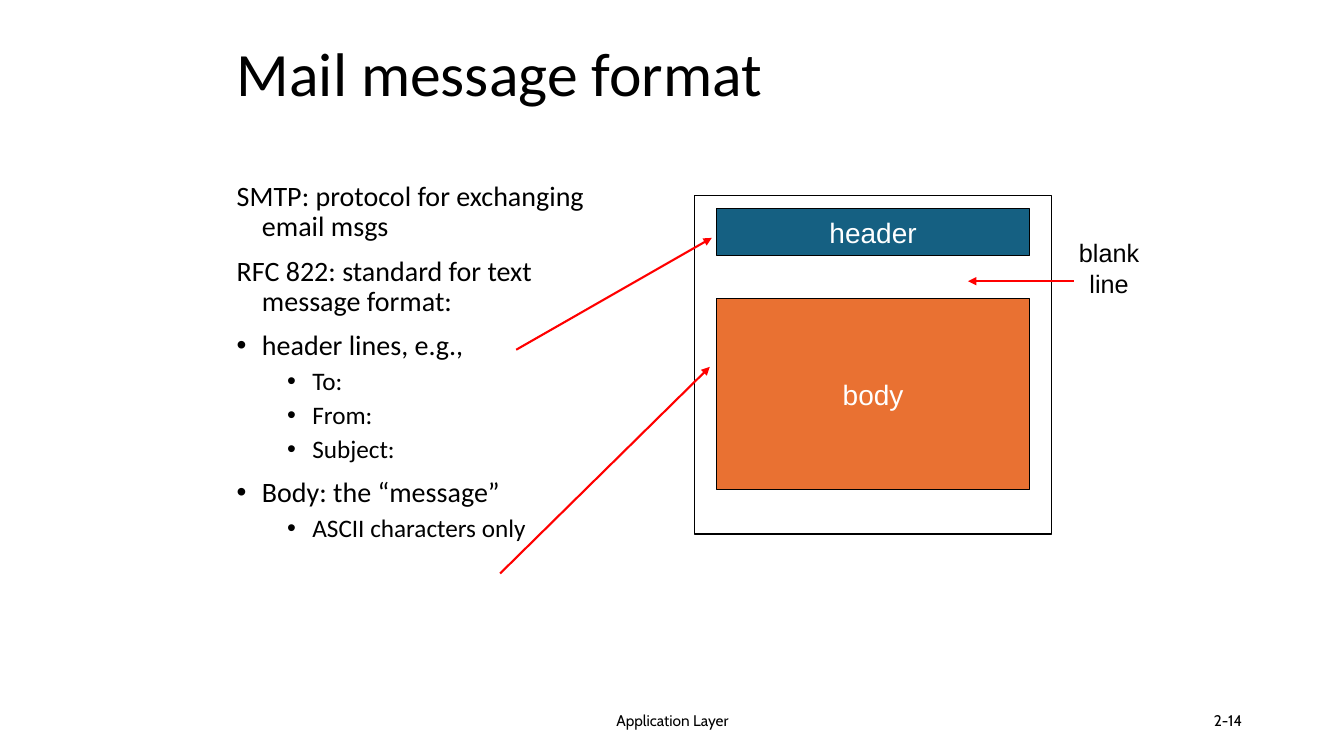
from lxml import etree
from pptx import Presentation
from pptx.dml.color import RGBColor
from pptx.enum.shapes import MSO_CONNECTOR as Connector, MSO_SHAPE as Preset
from pptx.enum.text import MSO_ANCHOR as Anchor, PP_ALIGN as Align
from pptx.oxml.ns import qn
from pptx.util import Pt

PX = 9144
COLORS = {"ink": "000000", "paper": "FFFFFF", "header": "156082",
          "body": "E97132", "arrow": "FF0000"}

LABELS = [
    (["Application Layer"], (442, 695, 450, 40), "Cabin", 11, Align.CENTER, Anchor.MIDDLE, True, 1.0),
    (["2-14"], (942, 695, 300, 40), "Cabin", 11, Align.RIGHT, Anchor.MIDDLE, True, 1.0),
    (["Mail message format"], (225, 13, 850, 125), "Calibri", 44, Align.LEFT, Anchor.MIDDLE, True, 0.9),
    (["blank", "line"], (1060, 231, 80, 71), "Arial", 18, Align.CENTER, Anchor.TOP, False, 1.0),
]
NOTES_AREA = (225, 176, 400, 508)
NOTES = [
    ("plain", "SMTP: protocol for exchanging email msgs"),
    ("plain", "RFC 822: standard for text message format:"),
    ("point", "header lines, e.g.,"),
    ("detail", "To:"),
    ("detail", "From:"),
    ("detail", "Subject:"),
    ("point", "Body: the “message”"),
    ("detail", "ASCII characters only"),
]
NOTE_STYLES = {
    "plain": (25, 20, 10, False),
    "point": (25, 20, 10, True),
    "detail": (75, 18, 5, True),
}
HANGING = 25
MESSAGE_PARTS = [
    ("header", (711, 207, 310, 47), "header", 0.75),
    ("body", (711, 296, 310, 190), "body", 0.75),
    ("", (689, 194, 354, 336), None, 1),
]
ARROWS = [(512, 347, 706, 236), (496, 569, 704, 364), (1065, 279, 960, 279)]


def emu(lengths):
    return [length * PX for length in lengths]


def color(name):
    return RGBColor.from_string(COLORS[name])


def style(para, font, size, ink="ink"):
    for span in para.runs:
        span.font.name = font
        span.font.size = Pt(size)
        span.font.color.rgb = color(ink)


def add_label(page, lines, area, font, size, align, anchor, wrap, spacing):
    frame = page.shapes.add_textbox(*emu(area)).text_frame
    frame.word_wrap = wrap
    frame.vertical_anchor = anchor
    frame.text = "\n".join(lines)
    for para in frame.paragraphs:
        para.alignment = align
        para.line_spacing = spacing
        style(para, font, size)


def add_notes(page):
    frame = page.shapes.add_textbox(*emu(NOTES_AREA)).text_frame
    frame.word_wrap = True
    frame.text = "\n".join(text for _, text in NOTES)
    for index, (para, (kind, _)) in enumerate(zip(frame.paragraphs, NOTES)):
        margin, size, gap, bulleted = NOTE_STYLES[kind]
        layout = para._p.get_or_add_pPr()
        layout.set("marL", str(margin * PX))
        layout.set("indent", str(-HANGING * PX))
        if bulleted:
            etree.SubElement(layout, qn("a:buFont"), typeface="Arial")
            etree.SubElement(layout, qn("a:buChar"), char="•")
        para.level = int(kind == "detail")
        para.line_spacing = 0.9
        para.space_before = Pt(gap if index else 0)
        style(para, "Calibri", size)


def add_part(page, text, area, fill, weight):
    part = page.shapes.add_shape(Preset.RECTANGLE, *emu(area))
    part.shadow.inherit = False
    part.line.color.rgb = color("ink")
    part.line.width = Pt(weight)
    if fill is None:
        part.fill.background()
        return
    part.fill.solid()
    part.fill.fore_color.rgb = color(fill)
    frame = part.text_frame
    frame.word_wrap = False
    frame.vertical_anchor = Anchor.MIDDLE
    frame.text = text
    para = frame.paragraphs[0]
    para.alignment = Align.CENTER
    style(para, "Arial", 20, "paper")


def add_arrow(page, ends):
    arrow = page.shapes.add_connector(Connector.STRAIGHT, *emu(ends))
    arrow.line.color.rgb = color("arrow")
    arrow.line.width = Pt(1.5)
    etree.SubElement(arrow.line._get_or_add_ln(), qn("a:tailEnd"), type="triangle")
    etree.SubElement(arrow._element.spPr, qn("a:effectLst"))


def main():
    deck = Presentation()
    deck.slide_width, deck.slide_height = emu((1333, 750))
    page = deck.slides.add_slide(deck.slide_layouts[6])
    for label in LABELS:
        add_label(page, *label)
    add_notes(page)
    for part in MESSAGE_PARTS:
        add_part(page, *part)
    for ends in ARROWS:
        add_arrow(page, ends)
    deck.save("out.pptx")


if __name__ == "__main__":
    main()
